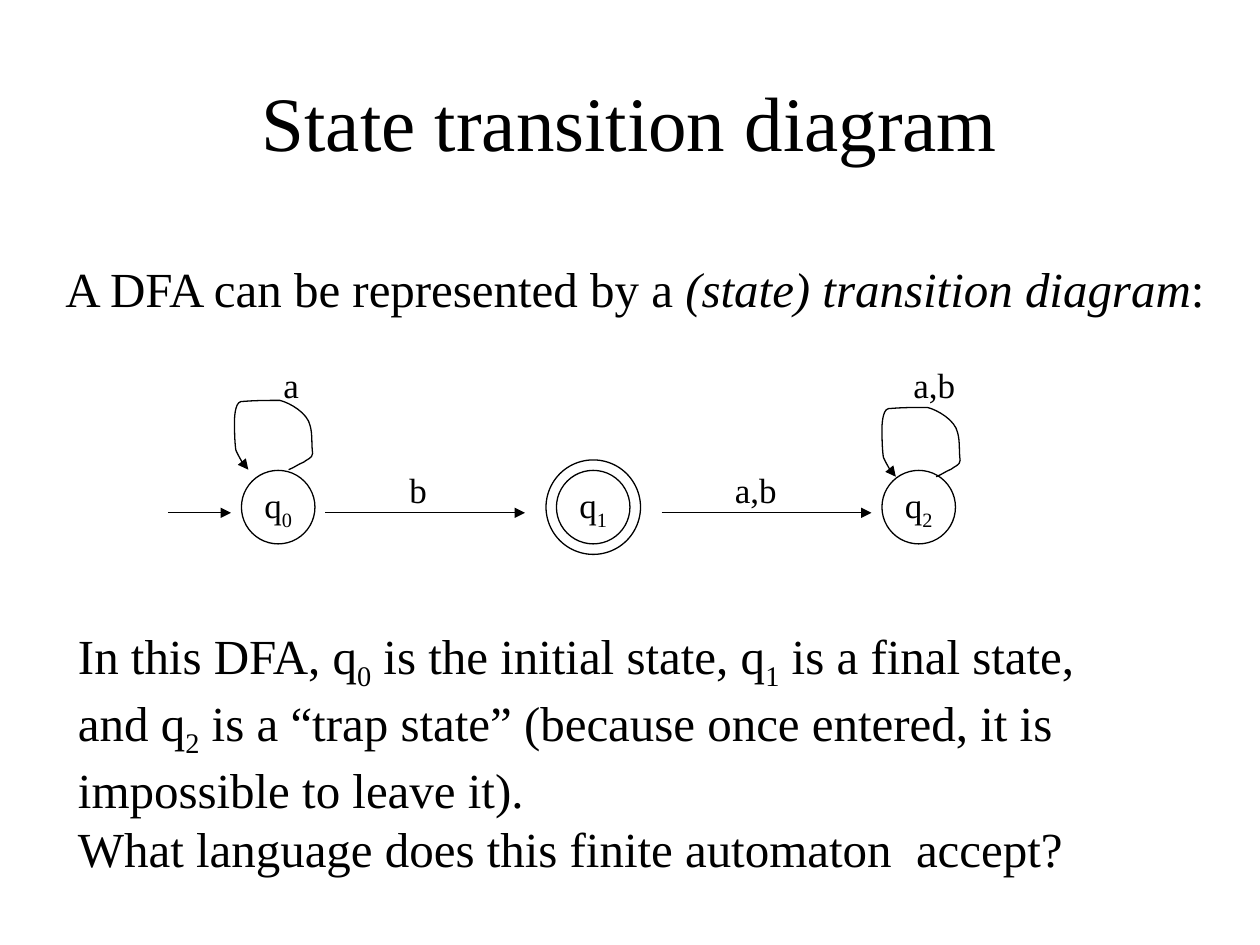
import pptx
import pptx.dml.color
import pptx.enum.shapes
import pptx.enum.text
import pptx.oxml.ns
import pptx.util
from dataclasses import dataclass
from lxml import etree
from pptx.enum.shapes import MSO_SHAPE, MSO_CONNECTOR
from pptx.enum.text import MSO_ANCHOR, MSO_AUTO_SIZE, PP_ALIGN
from pptx.oxml.ns import qn


@dataclass(frozen=True)
class Theme:
    font: str = "Times New Roman"
    ink: str = "000000"
    paper: str = "FFFFFF"
    title: int = 44
    body: int = 28
    label: int = 20
    line: float = 0.75


THEME = Theme()
COL = ROW = pptx.util.Inches(1) / 12
STATE = 7        # diameter of a state, in columns
FINAL_RING = 9   # diameter of the ring round a final state

# Self-loop outline in hundredths of an inch: a start, then cubic segments.
LOOP_UNIT = pptx.util.Inches(0.01)
LOOP_START = (43, 55)
LOOP_CURVES = [
    (48, 53, 50, 51, 55, 49), (57, 47, 62, 46, 62, 42),
    (61, 35, 62, 27, 60, 20), (58, 10, 44, 2, 36, 0),
    (26, 0, 16, 0, 5, 1), (0, 2, 0, 16, 0, 16),
    (0, 23, 0, 31, 1, 39), (1, 40, 7, 51, 8, 52),
    (9, 53, 11, 55, 11, 55),
]


def rgb(value):
    return pptx.dml.color.RGBColor.from_string(value)


def grid_box(left, top, cols, rows):
    return tuple(round(v) for v in (left * COL, top * ROW, cols * COL, rows * ROW))


def write(tf, paragraphs, size=THEME.label, align=PP_ALIGN.LEFT,
          anchor=MSO_ANCHOR.TOP, wrap=False, grow=False):
    """Fill a frame; a run is a string or a (string, "sub" or "italic") pair."""
    tf.word_wrap = wrap
    tf.auto_size = MSO_AUTO_SIZE.SHAPE_TO_FIT_TEXT if grow else MSO_AUTO_SIZE.NONE
    tf.vertical_anchor = anchor
    for i, runs in enumerate(paragraphs):
        p = tf.add_paragraph() if i else tf.paragraphs[0]
        p.alignment = align
        for run in runs:
            text, style = (run, None) if isinstance(run, str) else run
            r = p.add_run()
            r.text = text
            r.font.name = THEME.font
            r.font.size = pptx.util.Pt(size)
            r.font.color.rgb = rgb(THEME.ink)
            if style == "italic":
                r.font.italic = True
            elif style == "sub":
                r._r.get_or_add_rPr().set("baseline", "-25000")


def add_text(shapes, box, paragraphs, **fmt):
    write(shapes.add_textbox(*box).text_frame, paragraphs, **fmt)


def draw_line(sp, arrow=False):
    sp.line.color.rgb = rgb(THEME.ink)
    sp.line.width = pptx.util.Pt(THEME.line)
    if arrow:
        ln = sp._element.spPr.find(qn("a:ln"))
        etree.SubElement(ln, qn("a:tailEnd"), type="triangle")


def add_circle(shapes, x, y, size, filled=True):
    box = grid_box(x - size / 2, y - size / 2, size, size)
    sp = shapes.add_shape(MSO_SHAPE.OVAL, *box)
    sp.shadow.inherit = False
    if filled:
        sp.fill.solid()
        sp.fill.fore_color.rgb = rgb(THEME.paper)
    else:
        sp.fill.background()
    draw_line(sp)
    return sp


def add_state(shapes, x, y, number, final=False):
    sp = add_circle(shapes, x, y, STATE)
    write(sp.text_frame, [["q", (number, "sub")]],
          align=PP_ALIGN.CENTER, anchor=MSO_ANCHOR.MIDDLE)
    if final:
        add_circle(shapes, x, y, FINAL_RING, filled=False)


def add_arrow(shapes, x1, x2, y):
    y = round(y * ROW)
    cxn = shapes.add_connector(
        MSO_CONNECTOR.STRAIGHT, round(x1 * COL), y, round(x2 * COL), y)
    draw_line(cxn, arrow=True)
    etree.SubElement(cxn._element.spPr, qn("a:effectLst"))


def add_loop(shapes, x, y):
    fb = shapes.build_freeform(*LOOP_START, scale=LOOP_UNIT)
    fb.add_line_segments([curve[4:] for curve in LOOP_CURVES], close=False)
    sp = fb.convert_to_shape(round(x * COL), round(y * ROW))
    # Turn each straight segment into the cubic curve with the same end.
    segments = list(sp._element.iter(qn("a:lnTo")))
    for segment, curve in zip(segments, LOOP_CURVES):
        cubic = etree.Element(qn("a:cubicBezTo"))
        for px, py in zip(curve[::2], curve[1::2]):
            etree.SubElement(cubic, qn("a:pt"), x=str(px), y=str(py))
        segment.getparent().replace(segment, cubic)
    sp.shadow.inherit = False
    sp.fill.background()
    draw_line(sp, arrow=True)


def add_diagram(slide, left, top):
    """Group the automaton; offsets are columns and rows from its corner."""
    shapes = slide.shapes.add_group_shape().shapes
    for number, (x, final) in enumerate([(10.5, False), (40.5, True), (71.5, False)]):
        add_state(shapes, left + x, top + 14.3, str(number), final)
    for x1, x2 in [(0, 6), (15, 34), (47, 67)]:
        add_arrow(shapes, left + x1, left + x2, top + 14.84)
    for x, y in [(6.33, 4.13), (68, 4.8)]:
        add_loop(shapes, left + x, top + y)
    labels = [("a", 9.8, 0, 3.8), ("b", 21.8, 10, 4.1),
              ("a,b", 52.8, 10, 6.4), ("a,b", 69.8, 0, 6.4)]
    for text, x, y, cols in labels:
        add_text(shapes, grid_box(left + x, top + y, cols, 5.25), [[text]], grow=True)


def add_title(slide, box):
    add_text(slide.shapes, box, [["State transition diagram"]], size=THEME.title,
             align=PP_ALIGN.CENTER, anchor=MSO_ANCHOR.MIDDLE, wrap=True)


def add_intro(slide, box):
    add_text(slide.shapes, box, [["A DFA can be represented by a ",
                                  ("(state) transition diagram", "italic"), ":"]],
             size=THEME.body, grow=True)


def add_explanation(slide, box):
    add_text(slide.shapes, box, [
        ["In this DFA, q", ("0", "sub"), " is the initial state, q",
         ("1", "sub"), " is a final state,"],
        ["and q", ("2", "sub"), " is a “trap state” (because once entered, it is"],
        ["impossible to leave it)."],
        ["What language does this finite automaton  accept?"],
    ], size=THEME.body, grow=True)


def main():
    prs = pptx.Presentation()
    prs.slide_width = pptx.util.Inches(10)
    prs.slide_height = pptx.util.Inches(7.5)
    slide = prs.slides.add_slide(prs.slide_layouts[6])
    add_title(slide, grid_box(9, 4, 102, 15))
    add_diagram(slide, 16, 34)
    add_explanation(slide, grid_box(6.25, 59, 98.75, 25.2))
    add_intro(slide, grid_box(5.04, 24, 111.75, 6.85))
    prs.save("out.pptx")


if __name__ == "__main__":
    main()
